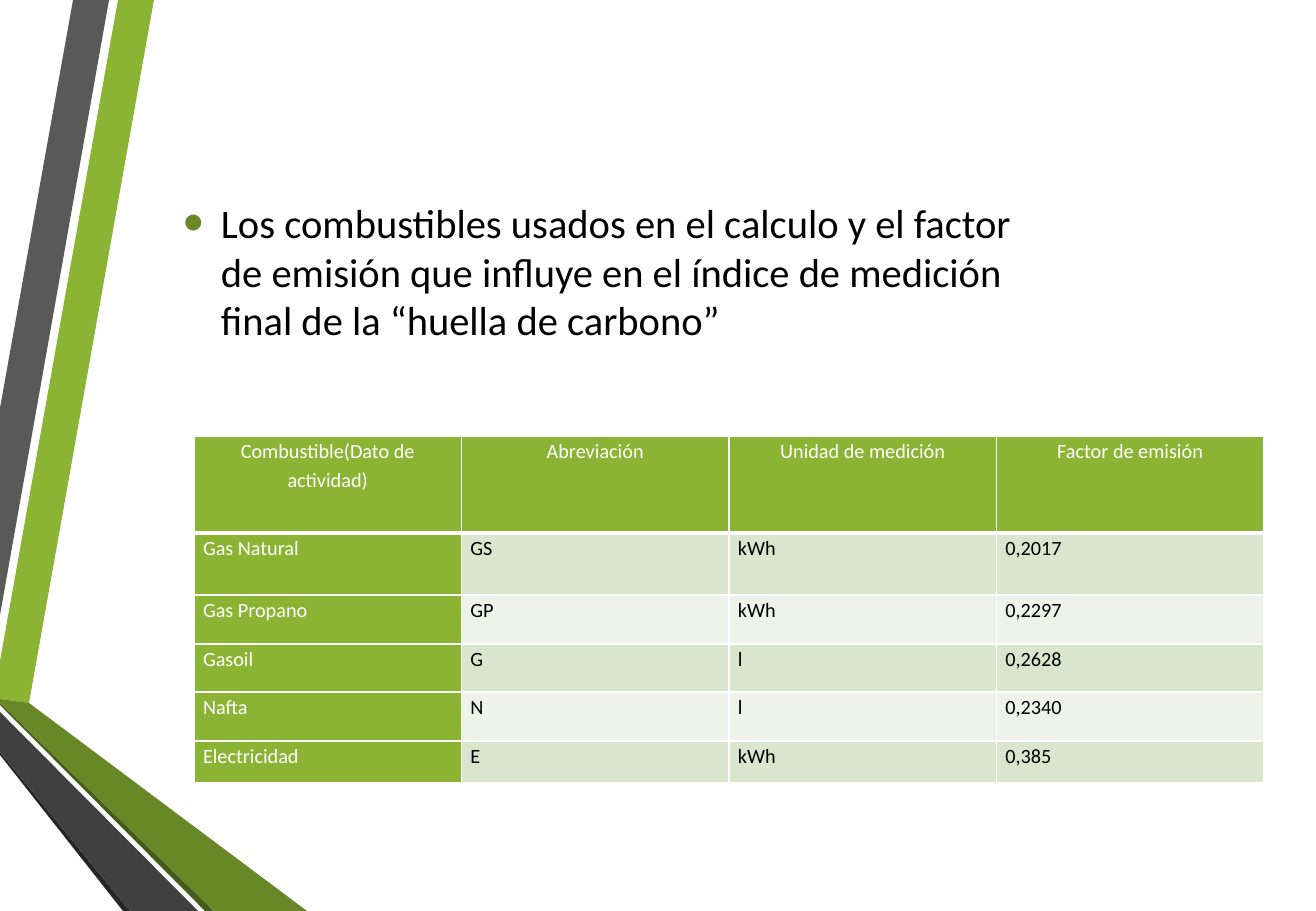
from lxml.etree import SubElement
from pptx import Presentation
from pptx.dml.color import RGBColor
from pptx.enum.text import MSO_ANCHOR, PP_ALIGN
from pptx.oxml.ns import qn
from pptx.util import Pt

PX = 7526  # EMU per pixel
WHITE = RGBColor(0xFF, 0xFF, 0xFF)
BLACK = RGBColor(0, 0, 0)
LIME = RGBColor(0x8B, 0xB4, 0x34)
OLIVE = RGBColor(0x68, 0x87, 0x27)
MOSS = RGBColor(0x46, 0x5A, 0x1A)
GRAY = RGBColor(0x59, 0x59, 0x59)
COAL = RGBColor(0x40, 0x40, 0x40)
INK = RGBColor(0x26, 0x26, 0x26)
BANDS = [RGBColor(0xEE, 0xF2, 0xE8), RGBColor(0xDA, 0xE5, 0xCE)]


def style(run, size, color):
    font = {"name": "Calibri", "size": Pt(size), "bold": False}
    for key, value in font.items():
        setattr(run.font, key, value)
    run.font.color.rgb = color


def border(cell, side, width):
    line = SubElement(cell._tc.get_or_add_tcPr(), qn("a:ln" + side), w=str(Pt(width)))
    fill = SubElement(line, qn("a:solidFill"))
    SubElement(fill, qn("a:srgbClr"), val=str(WHITE))


deck = Presentation()
deck.slide_width, deck.slide_height = 1316 * PX, 911 * PX
slide = deck.slides.add_slide(deck.slide_layouts[6])
shapes = slide.shapes

# Ribbons along the left edge
ribbons = [
    (LIME, [(0, 661), (0, 699), (29, 703), (154, 0), (118, 0)]),
    (GRAY, [(109, 0), (73, 0), (0, 408), (0, 615)]),
    (INK, [(0, 752), (0, 755), (123, 911), (130, 911)]),
    (MOSS, [(0, 703), (0, 705), (205, 911), (214, 911)]),
    (OLIVE, [(0, 703), (214, 911), (307, 911), (29, 703), (0, 699)]),
    (COAL, [(0, 752), (130, 911), (198, 911), (0, 712)]),
]
for color, points in ribbons:
    pen = shapes.build_freeform(*points[0], scale=PX)
    pen.add_line_segments(points[1:], close=True)
    ribbon = pen.convert_to_shape()
    ribbon.shadow.inherit = False
    ribbon.fill.solid()
    ribbon.fill.fore_color.rgb = color
    ribbon.line.fill.background()

# Emission factor table
rows = [
    ("Combustible(Dato de actividad)", "Abreviación", "Unidad de medición", "Factor de emisión"),
    ("Gas Natural", "GS", "kWh", "0,2017"),
    ("Gas Propano", "GP", "kWh", "0,2297"),
    ("Gasoil", "G", "l", "0,2628"),
    ("Nafta", "N", "l", "0,2340"),
    ("Electricidad", "E", "kWh", "0,385"),
]
heights = [97, 62, 49, 48, 49, 42]
frame = shapes.add_table(len(rows), 4, 194 * PX, 436 * PX, 1070 * PX, sum(heights) * PX)
table = frame.table
inset = {"margin_left": 9 * PX, "margin_right": 9 * PX, "margin_top": 0, "margin_bottom": 0}
for r, words in enumerate(rows):
    table.rows[r].height = heights[r] * PX
    for c, word in enumerate(words):
        cell = table.cell(r, c)
        head = r == 0 or c == 0
        for key, value in inset.items():
            setattr(cell, key, value)
        for side in "LRTB":
            border(cell, side, 3 if r == 0 and side == "B" else 1)
        cell.fill.solid()
        cell.fill.fore_color.rgb = LIME if head else BANDS[r % 2]
        para = cell.text_frame.paragraphs[0]
        para.alignment = PP_ALIGN.CENTER if r == 0 else PP_ALIGN.JUSTIFY
        para.line_spacing = 1.15
        run = para.add_run()
        run.text = word
        style(run, 12, WHITE if head else BLACK)

# Bulleted statement
box = shapes.add_textbox(171 * PX, 187 * PX, 900 * PX, 222 * PX)
body = box.text_frame
layout = {"word_wrap": True, "vertical_anchor": MSO_ANCHOR.TOP, "margin_top": 11 * PX,
          "margin_left": 12 * PX, "margin_right": 12 * PX}
for key, value in layout.items():
    setattr(body, key, value)
para = body.paragraphs[0]
run = para.add_run()
run.text = ("Los combustibles usados en el calculo y el factor de emisión que influye "
            "en el índice de medición final de la “huella de carbono”")
style(run, 24, BLACK)
props = para._p.get_or_add_pPr()
props.set("marL", str(38 * PX))
props.set("indent", str(-38 * PX))
tint = SubElement(props, qn("a:buClr"))
SubElement(tint, qn("a:srgbClr"), val=str(OLIVE))
SubElement(props, qn("a:buSzPct"), val="145000")
SubElement(props, qn("a:buFont"), typeface="Arial")
SubElement(props, qn("a:buChar"), char="•")

deck.save("out.pptx")
